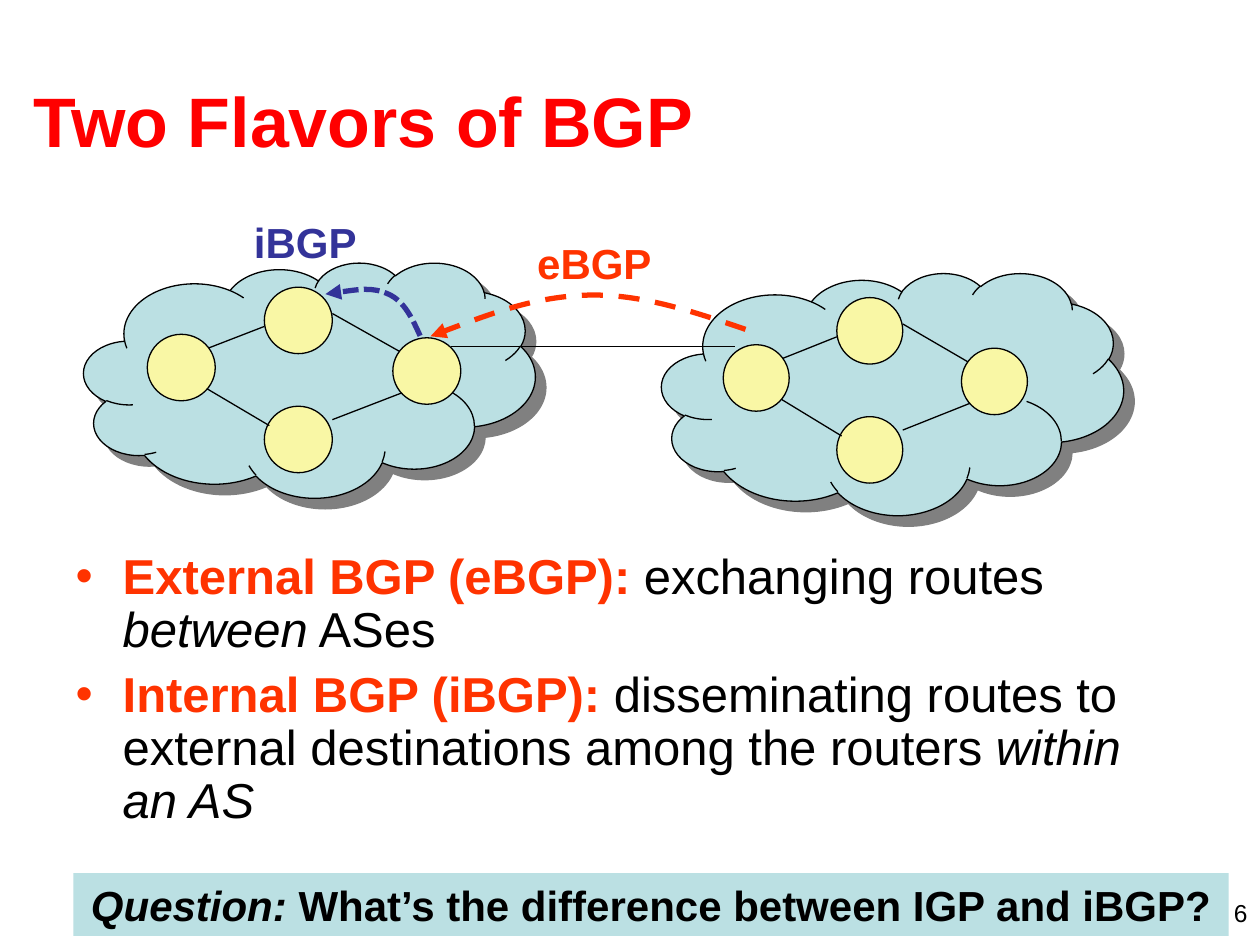
"""Build the slide on the two flavors of BGP."""
from dataclasses import dataclass

from lxml import etree
from pptx import Presentation
from pptx.dml.color import RGBColor
from pptx.enum.dml import MSO_LINE
from pptx.enum.shapes import MSO_CONNECTOR, MSO_SHAPE
from pptx.enum.text import MSO_ANCHOR, MSO_AUTO_SIZE, PP_ALIGN
from pptx.oxml.ns import qn
from pptx.util import Cm, Pt

STRAIGHT = MSO_CONNECTOR.STRAIGHT
CLOUD, OVAL, RECTANGLE = MSO_SHAPE.CLOUD, MSO_SHAPE.OVAL, MSO_SHAPE.RECTANGLE
DASH, SQUARE_DOT = MSO_LINE.DASH, MSO_LINE.SQUARE_DOT
TOP, MIDDLE = MSO_ANCHOR.TOP, MSO_ANCHOR.MIDDLE
LEFT, CENTER, RIGHT = PP_ALIGN.LEFT, PP_ALIGN.CENTER, PP_ALIGN.RIGHT
NO_AUTOFIT = MSO_AUTO_SIZE.NONE


@dataclass(frozen=True)
class Theme:
    font: str = "Arial"
    title: str = "FF0000"
    external: str = "FF3300"
    internal: str = "333399"
    ink: str = "000000"
    cloud: str = "BBE0E3"
    router: str = "F9F7A5"
    shadow: str = "808080"
    title_size: int = 40
    body_size: int = 28
    label_size: int = 24
    number_size: int = 14
    thin: float = 0.75
    thick: float = 3


THEME = Theme()


@dataclass(frozen=True)
class Box:
    left: float
    top: float
    width: float
    height: float

    def lengths(self) -> tuple:
        return Cm(self.left), Cm(self.top), Cm(self.width), Cm(self.height)


@dataclass(frozen=True)
class Span:
    text: str
    color: str = THEME.ink
    bold: bool = False
    italic: bool = False


@dataclass(frozen=True)
class Network:
    cloud: Box
    left: float
    top: float
    stretch: float


@dataclass(frozen=True)
class Session:
    label: str
    label_box: Box
    points: tuple
    color: str
    dash: object


NETWORKS = (
    Network(Box(1.69, 5.29, 9.1, 4.74), 2.97, 5.79, 1),
    Network(Box(13.34, 5.5, 9.31, 4.88), 14.58, 6, 0.97),
)
ROUTER_WIDTH, ROUTER_HEIGHT = 1.37, 1.34
MIDDLE_ROUTERS = ((2.36, 0), (2.36, 2.4))
SIDE_ROUTERS = ((4.95, 1.02), (0, 0.95))
LINKS = (
    (0.99, 1.32, 2.36, 0.79),
    (3.73, 2.67, 5.13, 2.13),
    (1.09, 1.98, 2.46, 2.79),
    (3.73, 0.53, 5.13, 1.32),
)
SESSIONS = (
    Session("eBGP", Box(10.58, 4.66, 4.02, 1.27),
            ((15.03, 6.64), (13.97, 6.28), (12.91, 5.92), (11.85, 5.95),
             (10.79, 5.98), (9.74, 6.38), (8.68, 6.78)),
            THEME.external, DASH),
    Session("iBGP", Box(4.87, 4.23, 4.02, 1.27),
            ((8.47, 6.77), (8.31, 6.42), (8.15, 6.07), (7.83, 5.93),
             (7.51, 5.78), (7.04, 5.86), (6.56, 5.93)),
            THEME.internal, SQUARE_DOT),
)
DEFINITIONS = (
    (Span("External BGP (eBGP):", THEME.external, bold=True), Span(" exchanging routes "),
     Span("between", italic=True), Span(" ASes")),
    (Span("Internal BGP (iBGP):", THEME.external, bold=True),
     Span(" disseminating routes to external destinations among the routers "),
     Span("within an AS", italic=True)),
)
QUESTION = (Span("Question:", bold=True, italic=True),
            Span(" What’s the difference between IGP and iBGP?", bold=True))


def rgb(color: str) -> RGBColor:
    return RGBColor.from_string(color)


def write_spans(paragraph, spans: tuple, size: float) -> None:
    for span in spans:
        run = paragraph.add_run()
        run.text = span.text
        run.font.name = THEME.font
        run.font.size = Pt(size)
        run.font.bold = span.bold
        run.font.italic = span.italic
        run.font.color.rgb = rgb(span.color)


def write_line(shape, spans: tuple, size: float, alignment=LEFT, anchor=TOP) -> None:
    frame = shape.text_frame
    frame.word_wrap = True
    frame.auto_size = NO_AUTOFIT
    frame.vertical_anchor = anchor
    paragraph = frame.paragraphs[0]
    paragraph.alignment = alignment
    write_spans(paragraph, spans, size)


def place(shape, box: Box) -> None:
    shape.left, shape.top, shape.width, shape.height = box.lengths()


def add_bullet(paragraph, color: str) -> None:
    properties = paragraph._p.get_or_add_pPr()
    properties.set("marL", str(Cm(0.95)))
    properties.set("indent", str(-Cm(0.95)))
    bullet_color = etree.SubElement(properties, qn("a:buClr"))
    etree.SubElement(bullet_color, qn("a:srgbClr"), val=color)
    etree.SubElement(properties, qn("a:buFont"), typeface=THEME.font)
    etree.SubElement(properties, qn("a:buChar"), char="•")


def write_definitions(body) -> None:
    place(body, Box(1.27, 11, 22.86, 6.02))
    frame = body.text_frame
    frame.auto_size = NO_AUTOFIT
    for index, spans in enumerate(DEFINITIONS):
        paragraph = frame.add_paragraph() if index else frame.paragraphs[0]
        add_bullet(paragraph, THEME.external)
        paragraph.line_spacing = 0.9
        paragraph.space_before = Pt(7 if index else 0)
        write_spans(paragraph, spans, THEME.body_size)


def add_filled(slide, kind, box: Box, color: str, outlined: bool = True):
    shape = slide.shapes.add_shape(kind, *box.lengths())
    shape.shadow.inherit = False
    shape.fill.solid()
    shape.fill.fore_color.rgb = rgb(color)
    if outlined:
        shape.line.color.rgb = rgb(THEME.ink)
        shape.line.width = Pt(THEME.thin)
    else:
        shape.line.fill.background()
    return shape


def add_cloud(slide, box: Box) -> None:
    cloud = add_filled(slide, CLOUD, box, THEME.cloud)
    effects = cloud._element.spPr.find(qn("a:effectLst"))
    shadow = etree.SubElement(effects, qn("a:outerShdw"), dist=str(Pt(8.5)),
                              dir="2700000", algn="ctr", rotWithShape="0")
    etree.SubElement(shadow, qn("a:srgbClr"), val=THEME.shadow)


def add_link(slide, start_x: float, start_y: float, end_x: float, end_y: float) -> None:
    link = slide.shapes.add_connector(STRAIGHT, Cm(start_x), Cm(start_y), Cm(end_x), Cm(end_y))
    link.line.color.rgb = rgb(THEME.ink)
    link.line.width = Pt(THEME.thin)
    etree.SubElement(link._element.spPr, qn("a:effectLst"))


def add_network(slide, network: Network) -> None:
    def across(offset: float) -> float:
        return network.left + offset * network.stretch

    def add_routers(offsets: tuple) -> None:
        for x, y in offsets:
            box = Box(across(x), network.top + y, ROUTER_WIDTH * network.stretch, ROUTER_HEIGHT)
            add_filled(slide, OVAL, box, THEME.router)

    add_cloud(slide, network.cloud)
    add_routers(MIDDLE_ROUTERS)
    for start_x, start_y, end_x, end_y in LINKS:
        add_link(slide, across(start_x), network.top + start_y, across(end_x), network.top + end_y)
    add_routers(SIDE_ROUTERS)


def add_session(slide, session: Session) -> None:
    start, *rest = [(Cm(x), Cm(y)) for x, y in session.points]
    builder = slide.shapes.build_freeform(*start)
    builder.add_line_segments(rest, close=False)
    arrow = builder.convert_to_shape()
    outline = next(arrow._element.iter(qn("a:path")))
    segments = outline.findall(qn("a:lnTo"))
    for first in range(0, len(segments), 3):
        curve = etree.SubElement(outline, qn("a:cubicBezTo"))
        for segment in segments[first:first + 3]:
            curve.append(segment[0])
            outline.remove(segment)
    arrow.shadow.inherit = False
    arrow.fill.background()
    arrow.line.color.rgb = rgb(session.color)
    arrow.line.width = Pt(THEME.thick)
    arrow.line.dash_style = session.dash
    etree.SubElement(arrow._element.spPr.find(qn("a:ln")), qn("a:tailEnd"), type="triangle")
    label = slide.shapes.add_textbox(*session.label_box.lengths())
    write_line(label, (Span(session.label, session.color, bold=True),), THEME.label_size)


def main() -> None:
    presentation = Presentation()
    presentation.slide_width, presentation.slide_height = Cm(25.4), Cm(19.05)
    slide = presentation.slides.add_slide(presentation.slide_layouts[1])
    title, body = slide.placeholders
    place(title, Box(0.43, 0.81, 24.33, 3.18))
    write_line(title, (Span("Two Flavors of BGP", THEME.title, bold=True),),
               THEME.title_size, anchor=MIDDLE)
    write_definitions(body)
    for network in NETWORKS:
        add_network(slide, network)
    add_link(slide, 9.09, 6.99, 14.81, 6.99)
    for session in SESSIONS:
        add_session(slide, session)
    banner = add_filled(slide, RECTANGLE, Box(1.48, 17.6, 23.29, 1.27), THEME.cloud, outlined=False)
    write_line(banner, QUESTION, THEME.label_size, CENTER)
    number = slide.shapes.add_textbox(*Box(19.48, 17.98, 5.92, 0.64).lengths())
    write_line(number, (Span("6"),), THEME.number_size, RIGHT)
    presentation.save("out.pptx")


if __name__ == "__main__":
    main()
